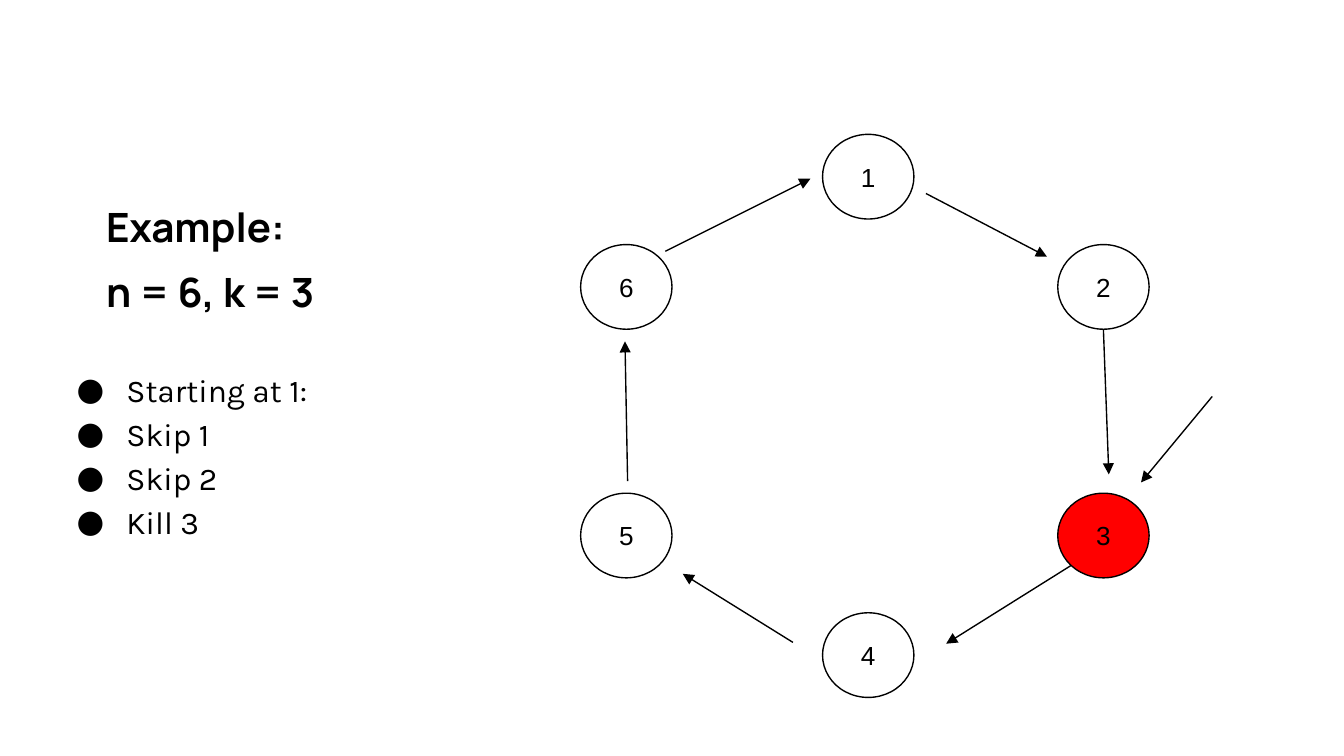
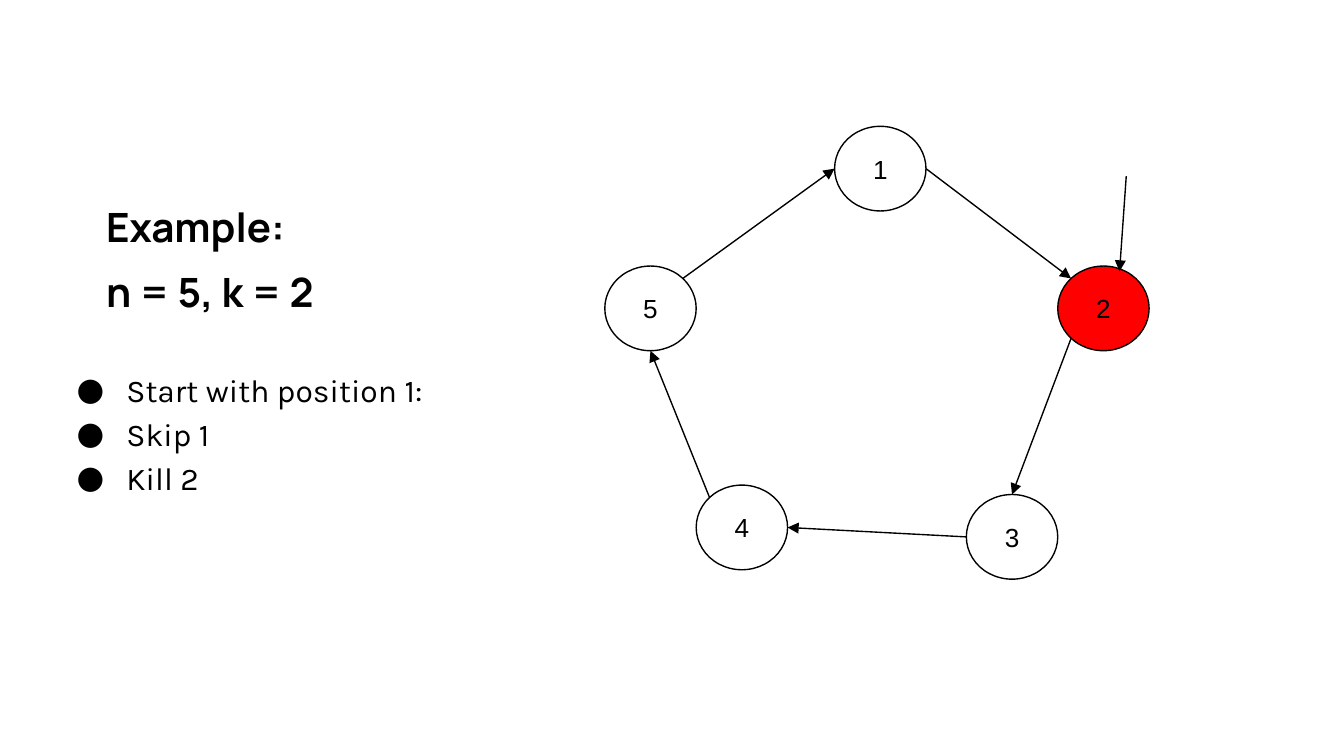
from math import cos, radians, sin

from lxml.etree import SubElement
from pptx import Presentation
from pptx.dml.color import RGBColor
from pptx.enum.shapes import MSO_CONNECTOR as CONN, MSO_SHAPE as SHAPE
from pptx.enum.text import MSO_ANCHOR as ANCHOR, MSO_AUTO_SIZE as AUTO, PP_ALIGN as ALIGN
from pptx.oxml.ns import qn
from pptx.util import Inches, Pt

BLACK = RGBColor(0, 0, 0)
WHITE = RGBColor(255, 255, 255)
RED = RGBColor(255, 0, 0)

W, H = 10, 5.625
NODE_W, NODE_H = 0.68, 0.63
TITLE_BOX = (0.69, 1.38, 3.07, 1.07)
STEPS_BOX = (0.34, 2.62, 3.07, 2.38)
ANGLES = {"E": 0, "SE": 45, "S": 90, "SW": 135, "W": 180, "NW": 225, "N": 270, "NE": 315}

LEFT, MID, RIGHT = 4.32, 6.12, 7.87
UPPER, LOWER = 1.82, 3.67

SLIDES = [
    {
        "title": ["Example:", "n = 6, k = 3"],
        "steps": ["Starting at 1:", "Skip 1", "Skip 2", "Kill 3"],
        "nodes": {1: (MID, 1), 2: (RIGHT, UPPER), 3: (RIGHT, LOWER),
                  4: (MID, 4.56), 5: (LEFT, LOWER), 6: (LEFT, UPPER)},
        "killed": 3,
        "arrows": [
            ((6.89, 1.44), (7.79, 1.91)),
            ((2, "S"), (8.25, 3.53)),
            ((3, "SW"), (7.04, 4.79)),
            ((5.9, 4.78), (5.08, 4.27)),
            ((4.67, 3.58), (4.65, 2.54)),
            ((4.95, 1.87), (6.03, 1.33)),
            ((9.02, 2.95), (8.49, 3.59)),
        ],
    },
    {
        "title": ["Example:", "n = 5, k = 2"],
        "steps": ["Start with position 1:", "Skip 1", "Kill 2"],
        "nodes": {1: (6.21, 0.94), 2: (7.87, 1.98), 3: (7.19, 3.68),
                  4: (5.18, 3.61), 5: (4.5, 1.98)},
        "killed": 2,
        "arrows": [
            ((1, "E"), (2, "NW")),
            ((2, "SW"), (3, "N")),
            ((3, "W"), (4, "E")),
            ((4, "NW"), (5, "S")),
            ((5, "NE"), (1, "W")),
            ((8.38, 1.31), (8.33, 2.02)),
        ],
    },
]


def write(sp, lines, *, font, size, bold=False, align=ALIGN.LEFT, anchor=ANCHOR.TOP,
          spacing=1.0, gap=0, bullet=None):
    tf = sp.text_frame
    tf.word_wrap = True
    tf.auto_size = AUTO.NONE
    tf.vertical_anchor = anchor
    tf.margin_left = tf.margin_right = tf.margin_top = tf.margin_bottom = Inches(0.1)
    for i, line in enumerate(lines):
        p = tf.add_paragraph() if i else tf.paragraphs[0]
        p.alignment = align
        p.line_spacing = spacing
        p.space_before = Pt(gap if i else 0)
        p.space_after = Pt(0)
        if bullet:
            pPr = p._p.get_or_add_pPr()
            pPr.set("marL", str(Inches(0.5)))
            pPr.set("indent", str(Inches(-0.37)))
            color = SubElement(pPr, qn("a:buClr"))
            SubElement(color, qn("a:srgbClr"), val=str(BLACK))
            SubElement(pPr, qn("a:buFont"), typeface=font)
            SubElement(pPr, qn("a:buChar"), char=bullet)
        r = p.add_run()
        r.text = line
        r.font.name = font
        r.font.size = Pt(size)
        r.font.bold = bold
        r.font.color.rgb = BLACK


def place(sp, box):
    sp.left, sp.top, sp.width, sp.height = map(Inches, box)


def add_node(s, number, corner, fill):
    sp = s.shapes.add_shape(SHAPE.OVAL, *map(Inches, (*corner, NODE_W, NODE_H)))
    sp.shadow.inherit = False
    sp.fill.solid()
    sp.fill.fore_color.rgb = fill
    sp.line.color.rgb = BLACK
    sp.line.width = Pt(0.75)
    write(sp, [str(number)], font="Arial", size=14, align=ALIGN.CENTER, anchor=ANCHOR.MIDDLE)


def locate(end, nodes):
    if end[1] not in ANGLES:
        return end
    x, y = nodes[end[0]]
    angle = radians(ANGLES[end[1]])
    return x + NODE_W / 2 * (1 + cos(angle)), y + NODE_H / 2 * (1 + sin(angle))


def add_arrow(s, start, end):
    cx = s.shapes.add_connector(CONN.STRAIGHT, *map(Inches, (*start, *end)))
    cx.line.color.rgb = BLACK
    cx.line.width = Pt(0.75)
    SubElement(cx.line._get_or_add_ln(), qn("a:tailEnd"), type="triangle")
    SubElement(cx._element.spPr, qn("a:effectLst"))


def build(prs, content):
    s = prs.slides.add_slide(prs.slide_layouts[1])
    title, steps = s.placeholders
    place(title, TITLE_BOX)
    write(title, content["title"], font="Manrope", size=21.6, bold=True,
          anchor=ANCHOR.BOTTOM, gap=9)
    place(steps, STEPS_BOX)
    write(steps, content["steps"], font="Karla", size=17, spacing=1.15, bullet="●")
    nodes = content["nodes"]
    for number, corner in nodes.items():
        add_node(s, number, corner, RED if number == content["killed"] else WHITE)
    for start, end in content["arrows"]:
        add_arrow(s, locate(start, nodes), locate(end, nodes))


def main():
    prs = Presentation()
    prs.slide_width, prs.slide_height = Inches(W), Inches(H)
    for content in SLIDES:
        build(prs, content)
    prs.save("out.pptx")


if __name__ == "__main__":
    main()
